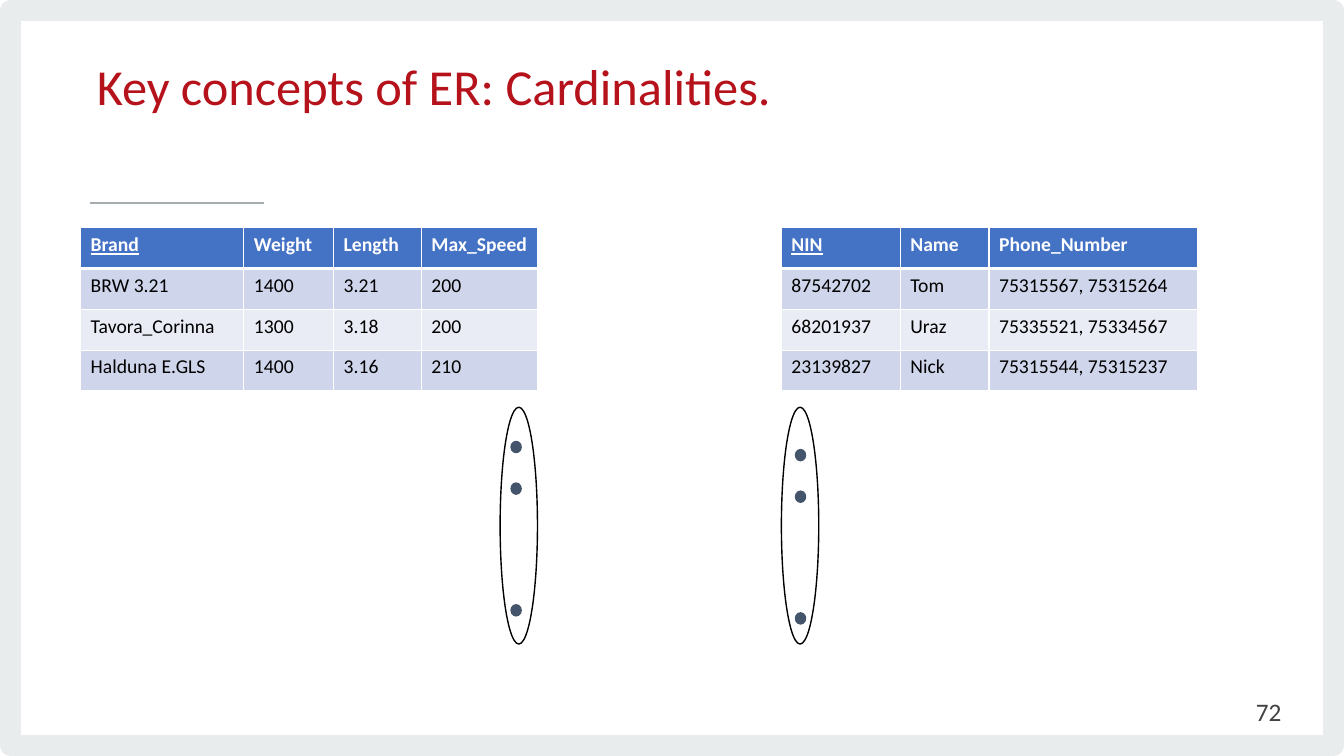
"""Build a slide with two entity tables and the value sets used to explain ER cardinalities."""
from lxml import etree
from pptx import Presentation
from pptx.dml.color import RGBColor
from pptx.enum.shapes import MSO_CONNECTOR, MSO_SHAPE
from pptx.enum.text import MSO_ANCHOR, PP_ALIGN
from pptx.oxml.ns import qn
from pptx.util import Inches, Pt

STRAIGHT = MSO_CONNECTOR.STRAIGHT
OVAL = MSO_SHAPE.OVAL
MIDDLE = MSO_ANCHOR.MIDDLE
LEFT, RIGHT = PP_ALIGN.LEFT, PP_ALIGN.RIGHT
COLORS = {name: RGBColor.from_string(value) for name, value in {
    "frame": "E9ECED", "rule": "A6ADB1", "title": "B5121B", "number": "414042",
    "header": "4472C4", "odd": "CFD5EA", "even": "E9EBF5", "dot": "44546A",
    "white": "FFFFFF", "black": "000000"}.items()}

deck = Presentation()
deck.slide_width, deck.slide_height = Inches(13.33), Inches(7.5)
page = deck.slides.add_slide(deck.slide_layouts[5])


def area(left, top, width, height):
    """Turn percentages of the slide's width and height into lengths."""
    across, down = deck.slide_width / 100, deck.slide_height / 100
    return [round(left * across), round(top * down), round(width * across), round(height * down)]


def write(frame, text, color, size, align=LEFT, **formats):
    """Put one formatted line of text into a text frame."""
    para = frame.paragraphs[0]
    para.alignment = align
    span = para.add_run()
    span.text = text
    span.font.color.rgb = COLORS[color]
    for key, value in {"name": "Calibri", "size": Pt(size), **formats}.items():
        setattr(span.font, key, value)
    return para


left, top, width, height = area(0.79, 1.4, 98.42, 97.2)
builder = page.shapes.build_freeform(left, top + height)
builder.add_line_segments([(left + width, top + height), (left + width, top), (left, top)])
border = builder.convert_to_shape()
border.shadow.inherit = False
border.fill.background()
border.line.color.rgb = COLORS["frame"]
border.line.width = Pt(15.11)
etree.SubElement(border.line._get_or_add_ln(), qn("a:round"))

left, top, width, height = area(6.68, 26.8, 12.97, 0)
rule = page.shapes.add_connector(STRAIGHT, left, top, left + width, top)
rule.line.color.rgb = COLORS["rule"]
rule.line.width = Pt(1.33)
etree.SubElement(rule._element.spPr, qn("a:effectLst"))

title = page.shapes.title
title.left, title.top, title.width, title.height = area(6.45, 6.93, 65.94, 10.4)
title.text_frame.vertical_anchor = MIDDLE
heading = write(title.text_frame, "Key concepts of ER: Cardinalities.", "title", 36)
heading.line_spacing = Pt(34.7)
heading.space_before = Pt(0)

number = page.shapes.add_textbox(*area(73.59, 91.47, 22.5, 5.33))
number.text_frame.word_wrap = True
number.text_frame.vertical_anchor = MIDDLE
write(number.text_frame, "72", "number", 18, RIGHT)

ROW_HEIGHT = 5.4
TABLES = [
    (6, [12.15, 6.68, 6.53, 8.66], [
        ["Brand", "Weight", "Length", "Max_Speed"],
        ["BRW 3.21", "1400", "3.21", "200"],
        ["Tavora_Corinna", "1300", "3.18", "200"],
        ["Halduna E.GLS", "1400", "3.16", "210"]]),
    (58.14, [8.85, 6.6, 15.53], [
        ["NIN", "Name", "Phone_Number"],
        ["87542702", "Tom", "75315567, 75315264"],
        ["68201937", "Uraz", "75335521, 75334567"],
        ["23139827", "Nick", "75315544, 75315237"]]),
]
for start, shares, rows in TABLES:
    box = area(start, 30.13, sum(shares), ROW_HEIGHT * len(rows))
    table = page.shapes.add_table(len(rows), len(shares), *box).table
    for column, share in zip(table.columns, shares):
        column.width = area(0, 0, share, 0)[2]
    for row_index, row in enumerate(rows):
        header = row_index == 0
        fill = "header" if header else "odd" if row_index % 2 else "even"
        for column_index, text in enumerate(row):
            cell = table.cell(row_index, column_index)
            properties = cell._tc.get_or_add_tcPr()
            for side in ("L", "R", "T", "B"):
                thick = (header and side == "B") or (row_index == 1 and side == "T")
                edge = etree.SubElement(properties, qn(f"a:ln{side}"), w=str(Pt(3 if thick else 1)))
                paint = etree.SubElement(edge, qn("a:solidFill"))
                etree.SubElement(paint, qn("a:srgbClr"), val=str(COLORS["white"]))
            cell.fill.solid()
            cell.fill.fore_color.rgb = COLORS[fill]
            write(cell.text_frame, text, "white" if header else "black", 14,
                  bold=header, underline=header and column_index == 0)

DOT_STEPS = [0, 5.5, 21.6]
for set_left, dot_left, dot_top in [(58.14, 59.19, 59.47), (37.21, 38.03, 58.4)]:
    ovals = [(area(set_left, 53.87, 2.78, 31.33), "black")]
    ovals += [(area(dot_left, dot_top + step, 0.75, 1.47), "dot") for step in DOT_STEPS]
    for box, color in ovals:
        oval = page.shapes.add_shape(OVAL, *box)
        oval.shadow.inherit = False
        oval.line.color.rgb = COLORS[color]
        oval.line.width = Pt(1)
        if color == "dot":
            oval.fill.solid()
            oval.fill.fore_color.rgb = COLORS[color]
        else:
            oval.fill.background()

deck.save("out.pptx")
